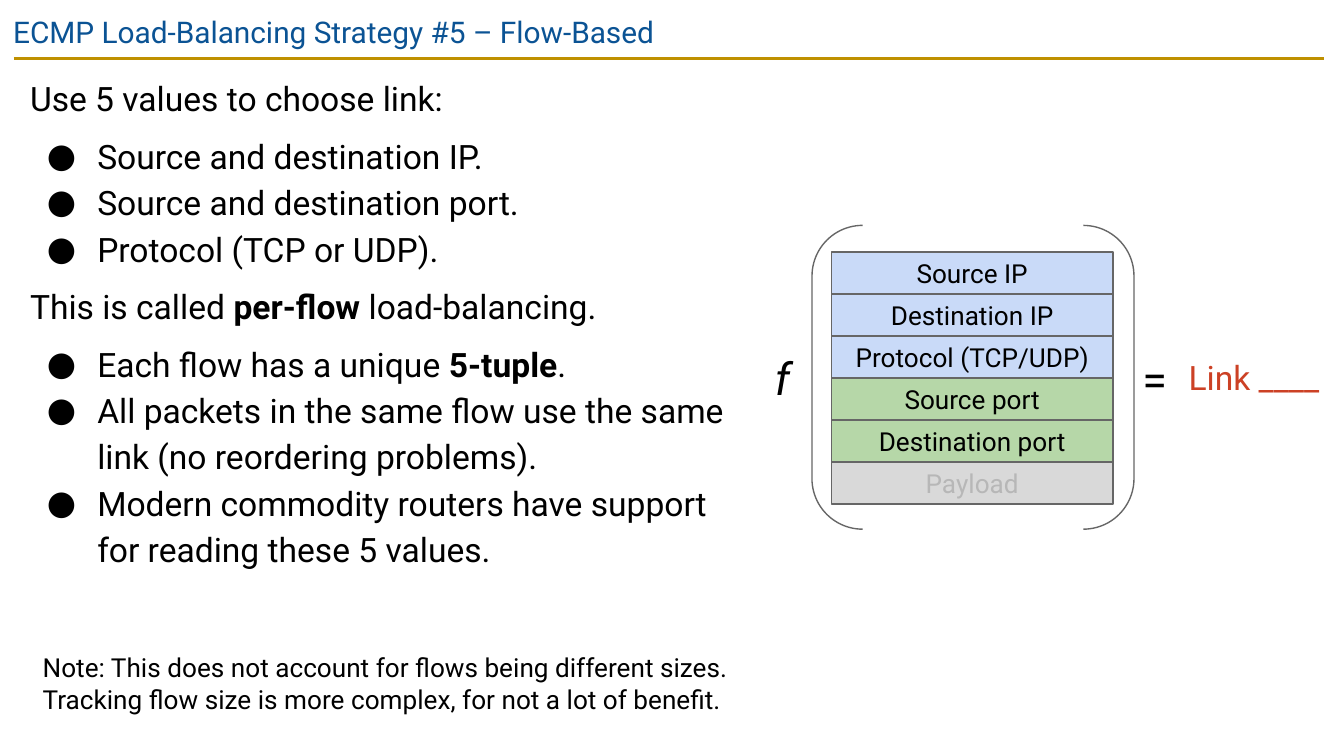
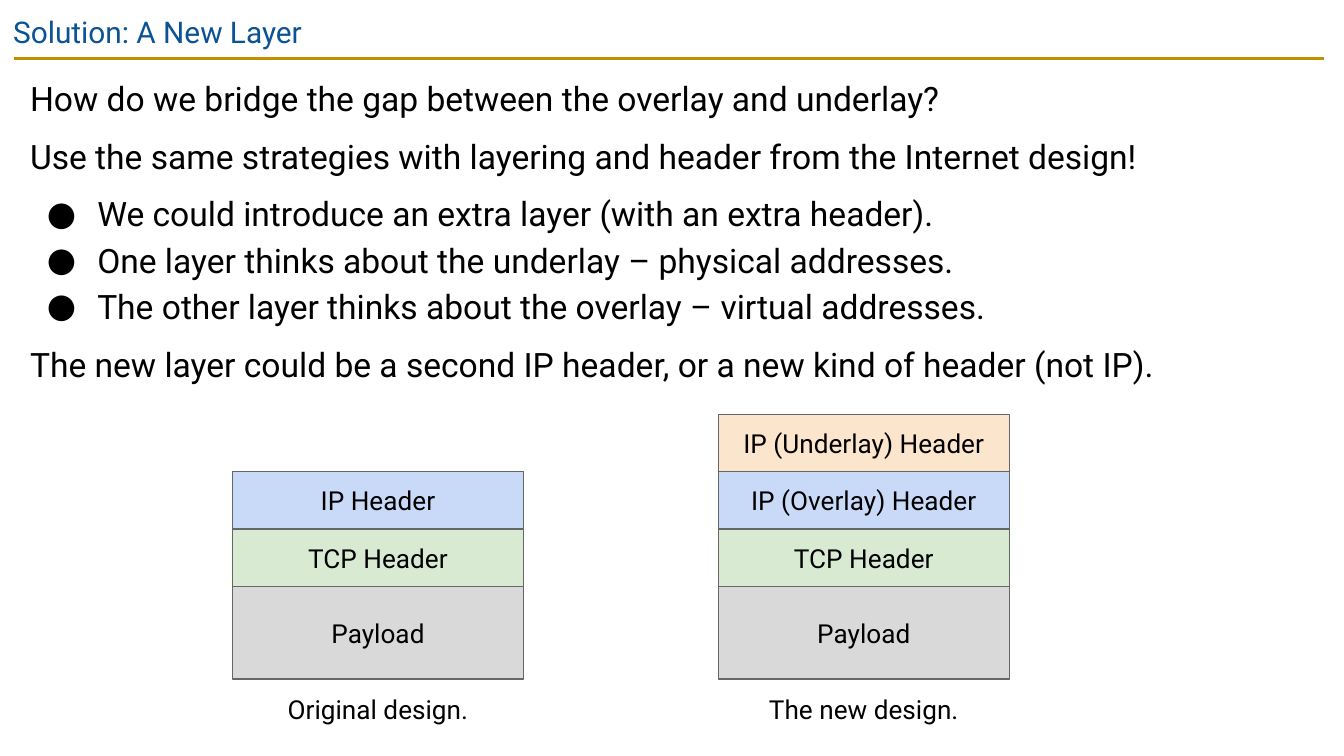
import pptx
import pptx.dml.color
import pptx.enum.shapes
import pptx.enum.text
import pptx.oxml.ns
import pptx.util
from lxml import etree

# Scale and style shared by both slides
EMU_PER_PX = 9525
SLIDE_WIDTH, SLIDE_HEIGHT = 960, 540
FONT = "Roboto"
INSET = pptx.util.Pt(7.2)
RGBColor = pptx.dml.color.RGBColor
BLACK = RGBColor(0x00, 0x00, 0x00)
WHITE = RGBColor(0xFF, 0xFF, 0xFF)
TITLE_BLUE = RGBColor(0x0B, 0x53, 0x94)
GOLD = RGBColor(0xBF, 0x90, 0x00)
OUTLINE = RGBColor(0x66, 0x66, 0x66)
RED = RGBColor(0xCC, 0x41, 0x25)
BLUE = RGBColor(0xC9, 0xDA, 0xF8)
GREEN = RGBColor(0xB6, 0xD7, 0xA8)
PALE_GREEN = RGBColor(0xD9, 0xEA, 0xD3)
ORANGE = RGBColor(0xFC, 0xE5, 0xCD)
GRAY = RGBColor(0xD9, 0xD9, 0xD9)
FADED = RGBColor(0xB7, 0xB7, 0xB7)

Align = pptx.enum.text.PP_ALIGN
Anchor = pptx.enum.text.MSO_ANCHOR
Shape = pptx.enum.shapes.MSO_SHAPE


def px(*lengths):
    return [pptx.util.Emu(length * EMU_PER_PX) for length in lengths]


class Painter:
    """Holds the deck's style and the slide being drawn."""

    def __init__(self):
        self.deck = pptx.Presentation()
        self.deck.slide_width, self.deck.slide_height = px(SLIDE_WIDTH, SLIDE_HEIGHT)
        self.page = None

    def start(self, title):
        self.page = self.deck.slides.add_slide(self.deck.slide_layouts[6])
        background = self.page.background.fill
        background.solid()
        background.fore_color.rgb = WHITE
        self.rule(10, 42, 946, 42)
        self.text(title, 0, 0, SLIDE_WIDTH, 41, size=16, color=TITLE_BLUE)

    def rule(self, *ends):
        line = self.page.shapes.add_connector(
            pptx.enum.shapes.MSO_CONNECTOR.STRAIGHT, *px(*ends))
        line.line.color.rgb = GOLD
        line.line.width = pptx.util.Pt(1.5)
        etree.SubElement(line._element.spPr, pptx.oxml.ns.qn("a:effectLst"))

    def frame(self, box, inset, anchor=Anchor.TOP):
        frame = box.text_frame
        frame.word_wrap = True
        frame.auto_size = pptx.enum.text.MSO_AUTO_SIZE.NONE
        frame.vertical_anchor = anchor
        frame.margin_left = frame.margin_right = inset
        frame.margin_top = frame.margin_bottom = inset
        return frame

    def spans(self, para, text, size, color=BLACK, italic=False):
        """Add runs; parts between double asterisks are bold."""
        for index, part in enumerate(text.split("**")):
            span = para.add_run()
            span.text = part
            span.font.name = FONT
            span.font.size = pptx.util.Pt(size)
            span.font.color.rgb = color
            span.font.bold = index % 2 == 1
            span.font.italic = italic

    def text(self, text, *place, size=14, color=BLACK, italic=False,
             align=Align.LEFT, inset=INSET):
        box = self.page.shapes.add_textbox(*px(*place))
        para = self.frame(box, inset).paragraphs[0]
        para.alignment = align
        self.spans(para, text, size, color, italic)

    def body(self, lines, *place):
        """Write lines of 18 pt text; those that start with ● are bullets."""
        frame = self.frame(self.page.shapes.add_textbox(*px(*place)), INSET)
        after_bullet = False
        for index, line in enumerate(lines):
            para = frame.add_paragraph() if index else frame.paragraphs[0]
            bullet = line.startswith("●")
            para.line_spacing = 1.15
            para.space_before = pptx.util.Pt(0 if bullet and after_bullet else 6)
            if bullet:
                self.bullet(para)
            self.spans(para, line.removeprefix("● "), 18)
            after_bullet = bullet

    def bullet(self, para):
        qn = pptx.oxml.ns.qn
        margin, indent = px(48, -36)
        properties = para._p.get_or_add_pPr()
        properties.set("marL", str(int(margin)))
        properties.set("indent", str(int(indent)))
        color = etree.SubElement(properties, qn("a:buClr"))
        etree.SubElement(color, qn("a:srgbClr"), val=str(BLACK))
        etree.SubElement(properties, qn("a:buFont"), typeface=FONT)
        etree.SubElement(properties, qn("a:buChar"), char="●")

    def outline(self, kind, *place):
        shape = self.page.shapes.add_shape(kind, *px(*place))
        shape.shadow.inherit = False
        shape.fill.background()
        shape.line.color.rgb = OUTLINE
        shape.line.width = pptx.util.Pt(0.75)
        return shape

    def stack(self, left, top, width, rows, inset=INSET):
        """Draw touching boxes from rows of label, height, fill, text colour."""
        for label, height, fill, color in rows:
            shape = self.outline(Shape.RECTANGLE, left, top, width, height)
            shape.fill.solid()
            shape.fill.fore_color.rgb = fill
            para = self.frame(shape, inset, Anchor.MIDDLE).paragraphs[0]
            para.alignment = Align.CENTER
            self.spans(para, label, 14, color)
            top += height


def flow_slide(painter):
    painter.start("ECMP Load-Balancing Strategy #5 – Flow-Based")
    painter.body([
        "Use 5 values to choose link:",
        "● Source and destination IP.",
        "● Source and destination port.",
        "● Protocol (TCP or UDP).",
        "This is called **per-flow** load-balancing.",
        "● Each flow has a unique **5-tuple**.",
        "● All packets in the same flow use the same link (no reordering problems).",
        "● Modern commodity routers have support for reading these 5 values.",
    ], 12, 42, 516, 393)

    # Function of the packet fields
    painter.outline(Shape.DOUBLE_BRACKET, 580, 161, 230, 217)
    fields = [("Source IP", BLUE, BLACK), ("Destination IP", BLUE, BLACK),
              ("Protocol (TCP/UDP)", BLUE, BLACK), ("Source port", GREEN, BLACK),
              ("Destination port", GREEN, BLACK), ("Payload", GRAY, FADED)]
    painter.stack(594, 180, 201,
                  [(label, 30, fill, color) for label, fill, color in fields], inset=0)
    painter.text("f", 544, 241, 34, 59, size=24, italic=True)
    painter.text("=", 816, 251, 20, 38, size=24, inset=0)
    painter.text("Link ____", 849, 255, 98, 29, size=18, color=RED, inset=0)

    painter.text("Note: This does not account for flows being different sizes. "
                 "Tracking flow size is more complex, for not a lot of benefit.",
                 21, 456, 516, 64)


def layer_slide(painter):
    painter.start("Solution: A New Layer")
    painter.body([
        "How do we bridge the gap between the overlay and underlay?",
        "Use the same strategies with layering and header from the Internet design!",
        "● We could introduce an extra layer (with an extra header).",
        "● One layer thinks about the underlay – physical addresses.",
        "● The other layer thinks about the overlay – virtual addresses.",
        "The new layer could be a second IP header, or a new kind of header (not IP).",
    ], 12, 42, 935, 246)

    # Two packets that end on the same line
    shared = [("TCP Header", 41, PALE_GREEN, BLACK), ("Payload", 66, GRAY, BLACK)]
    designs = [
        (166, "Original design.", [("IP Header", 41, BLUE, BLACK)]),
        (513, "The new design.", [("IP (Underlay) Header", 41, ORANGE, BLACK),
                                  ("IP (Overlay) Header", 41, BLUE, BLACK)]),
    ]
    width, bottom = 208, 485
    for left, caption, headers in designs:
        rows = headers + shared
        top = bottom - sum(row[1] for row in rows)
        painter.stack(left, top, width, rows)
        painter.text(caption, left, bottom + 1, width, 42, align=Align.CENTER)


def main():
    painter = Painter()
    flow_slide(painter)
    layer_slide(painter)
    painter.deck.save("out.pptx")


if __name__ == "__main__":
    main()
